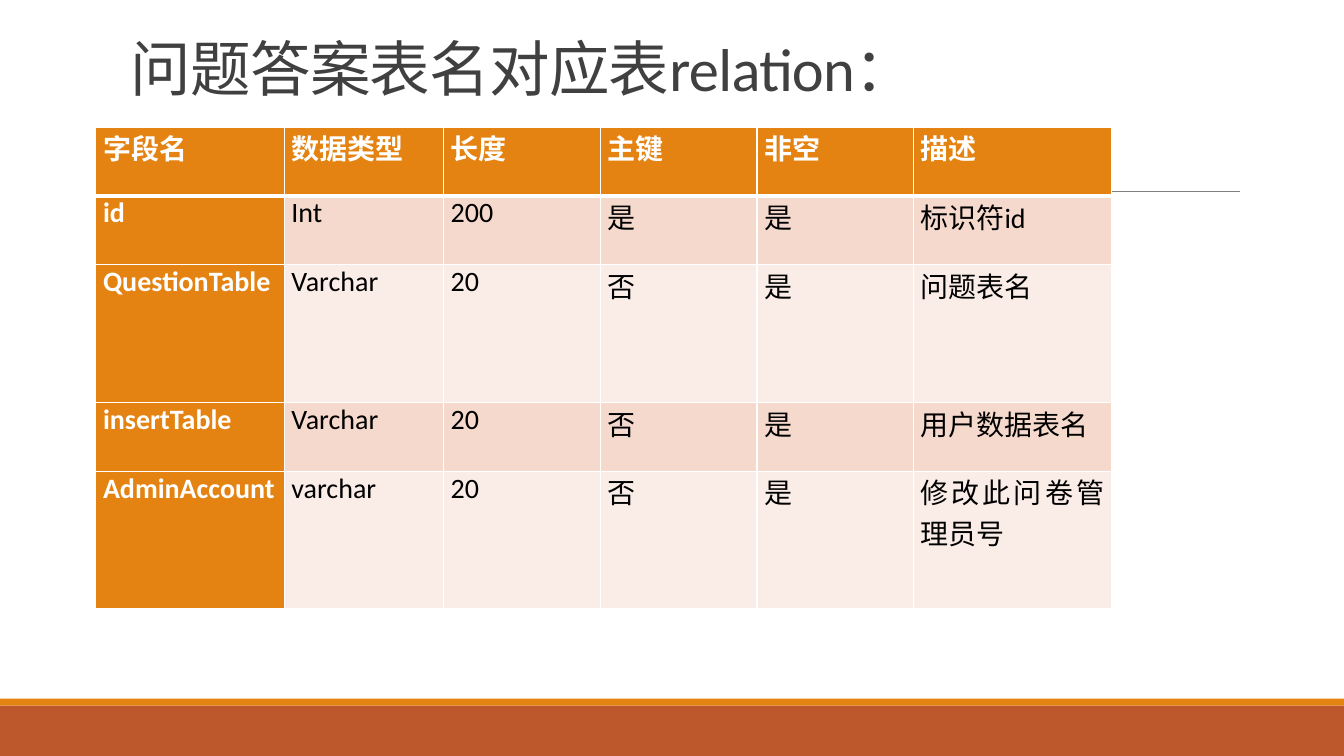
from lxml import etree
from pptx import Presentation
from pptx.dml.color import RGBColor
from pptx.enum.shapes import MSO_CONNECTOR, MSO_SHAPE
from pptx.enum.text import MSO_ANCHOR, PP_ALIGN
from pptx.oxml.ns import qn
from pptx.util import Pt

STRAIGHT = MSO_CONNECTOR.STRAIGHT
RECT = MSO_SHAPE.RECTANGLE
BOTTOM = MSO_ANCHOR.BOTTOM
TOP = MSO_ANCHOR.TOP
JUSTIFY = PP_ALIGN.JUSTIFY

# Content
TITLE = "问题答案表名对应表relation："
FIELDS = [
    ("字段名", "数据类型", "长度", "主键", "非空", "描述"),
    ("id", "Int", "200", "是", "是", "标识符id"),
    ("QuestionTable", "Varchar", "20", "否", "是", "问题表名"),
    ("insertTable", "Varchar", "20", "否", "是", "用户数据表名"),
    ("AdminAccount", "varchar", "20", "否", "是", "修改此问卷管理员号"),
]

# Theme and layout
THEME = {
    "font": "Calibri", "title_size": 43.2, "cell_size": 20,
    "title": "404040", "accent": "E48312", "footer": "BD582C",
    "rule": "808080", "light": "FFFFFF", "dark": "000000",
    "bands": ("F5D9CC", "FAEDE7"),
}
SLIDE_W, SLIDE_H = 960, 540
FOOTER_H, STRIPE_H = 36, 5
RULE_LEFT, RULE_RIGHT, RULE_Y = 94.3, 885.6, 136.8
TABLE_LEFT, TABLE_TOP = 68.4, 90.9
COL_WIDTHS = [134.6, 113.8, 112.3, 111.6, 111.6, 141.8]
ROW_UNIT = 49.17
ROW_UNITS = [1, 1, 2, 1, 2]
CELL_INSET = 5.2


def color(name):
    return RGBColor.from_string(THEME.get(name, name))


def style_text(p, size, color_name, bold=False):
    p.font.name = THEME["font"]
    p.font.size = Pt(size)
    p.font.bold = bold
    p.font.color.rgb = color(color_name)


def add_bar(s, top, height, fill):
    sp = s.shapes.add_shape(RECT, 0, Pt(top), Pt(SLIDE_W), Pt(height))
    sp.shadow.inherit = False
    sp.fill.solid()
    sp.fill.fore_color.rgb = color(fill)
    sp.line.fill.background()


def set_borders(cell, widths):
    tc_pr = cell._tc.get_or_add_tcPr()
    for side, width in widths.items():
        ln = etree.SubElement(tc_pr, qn(f"a:ln{side}"), w=str(Pt(width)))
        fill = etree.SubElement(ln, qn("a:solidFill"))
        etree.SubElement(fill, qn("a:srgbClr"), val=THEME["light"])


prs = Presentation()
prs.slide_width, prs.slide_height = Pt(SLIDE_W), Pt(SLIDE_H)
s = prs.slides.add_slide(prs.slide_layouts[6])

# Footer bars and title rule
footer_top = SLIDE_H - FOOTER_H
add_bar(s, footer_top, FOOTER_H, "footer")
add_bar(s, footer_top - STRIPE_H, STRIPE_H, "accent")
rule = s.shapes.add_connector(STRAIGHT, Pt(RULE_LEFT), Pt(RULE_Y), Pt(RULE_RIGHT), Pt(RULE_Y))
rule.line.color.rgb = color("rule")
rule.line.width = Pt(0.5)
etree.SubElement(rule._element.spPr, qn("a:effectLst"))

# Title
tf = s.shapes.add_textbox(Pt(86.4), Pt(22.3), Pt(792), Pt(55.4)).text_frame
tf.word_wrap = True
tf.vertical_anchor = BOTTOM
p = tf.paragraphs[0]
r = p.add_run()
r.text = TITLE
p.line_spacing = 0.85
style_text(p, THEME["title_size"], "title")
r._r.get_or_add_rPr().set("spc", "-50")

# Field table
table = s.shapes.add_table(
    len(FIELDS), len(COL_WIDTHS), Pt(TABLE_LEFT), Pt(TABLE_TOP),
    Pt(sum(COL_WIDTHS)), Pt(ROW_UNIT * sum(ROW_UNITS))).table
for column, width in zip(table.columns, COL_WIDTHS):
    column.width = Pt(width)
for row, units in zip(table.rows, ROW_UNITS):
    row.height = Pt(ROW_UNIT * units)

for i, fields in enumerate(FIELDS):
    for j, text in enumerate(fields):
        cell = table.cell(i, j)
        heading = i == 0 or j == 0
        cell.text = text
        cell.vertical_anchor = TOP
        cell.margin_left = cell.margin_right = Pt(CELL_INSET)
        cell.margin_top = cell.margin_bottom = 0
        set_borders(cell, {"L": 1, "R": 1, "T": 3 if i == 1 else 1, "B": 3 if i == 0 else 1})
        cell.fill.solid()
        cell.fill.fore_color.rgb = color("accent" if heading else THEME["bands"][(i - 1) % 2])
        p = cell.text_frame.paragraphs[0]
        p.alignment = JUSTIFY
        style_text(p, THEME["cell_size"], "light" if heading else "dark", heading)

prs.save("out.pptx")
